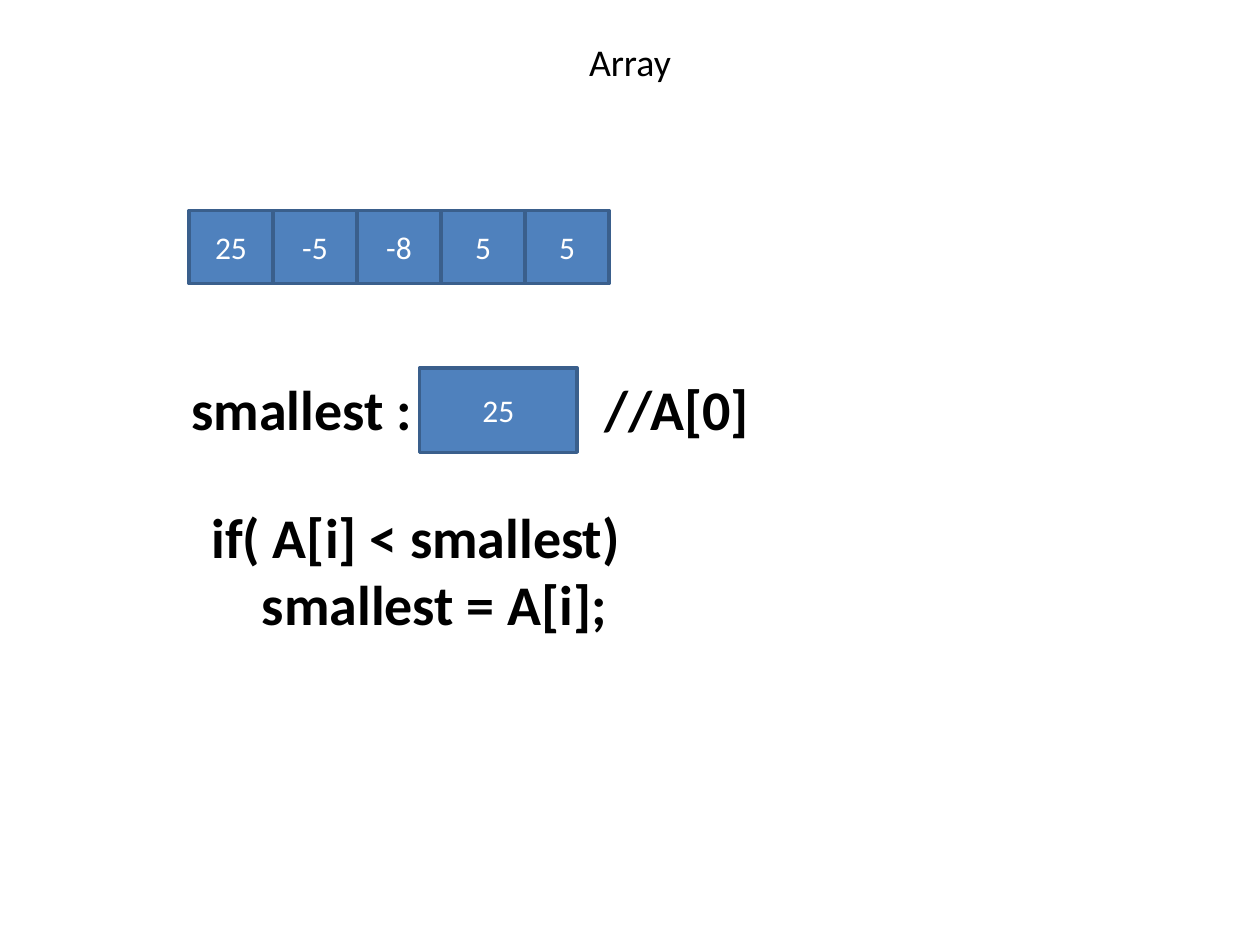
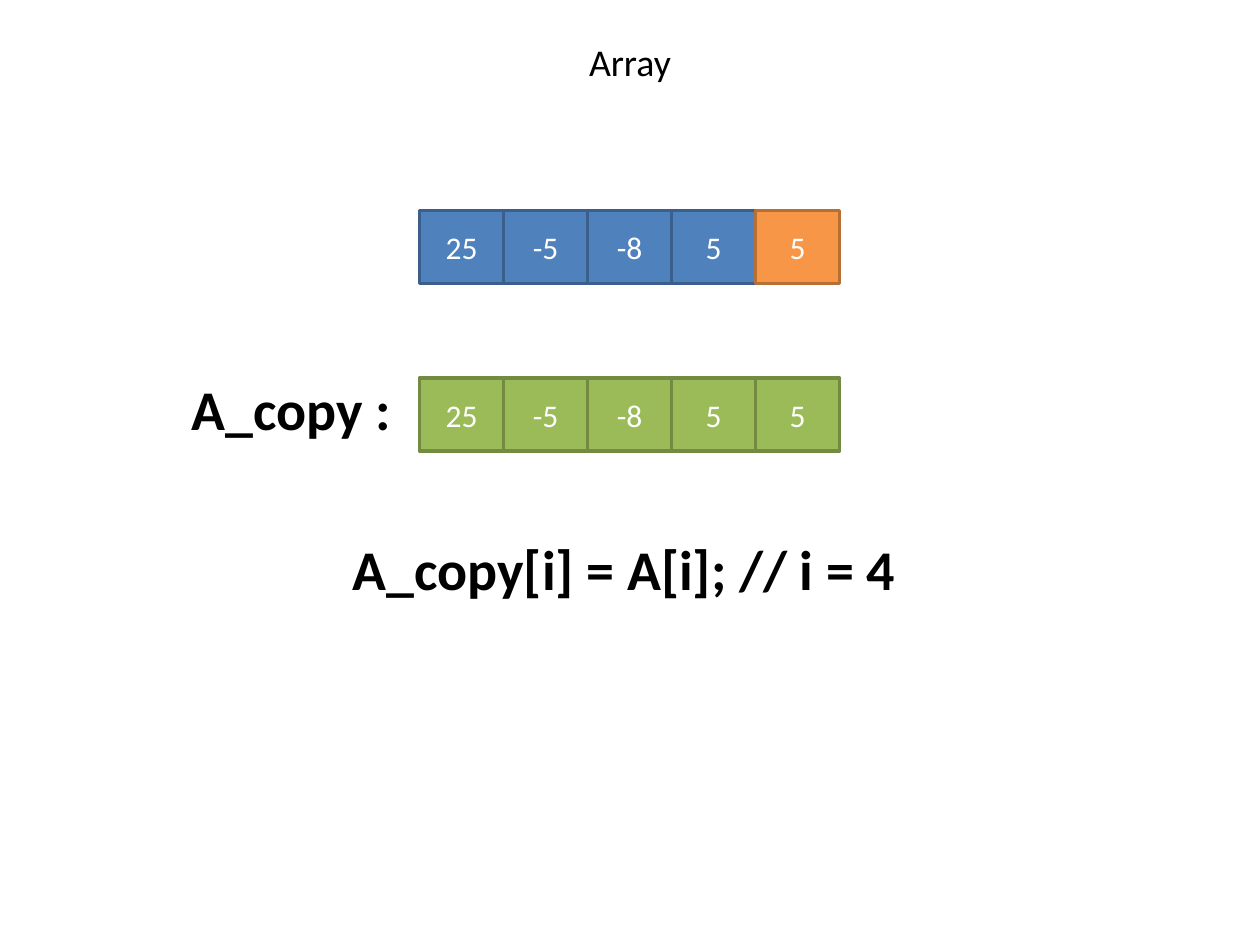
from pptx import Presentation
from pptx.dml.color import RGBColor
from pptx.enum.shapes import MSO_SHAPE
from pptx.enum.text import MSO_ANCHOR, PP_ALIGN
from pptx.util import Inches, Pt

RECT = MSO_SHAPE.RECTANGLE
MIDDLE = MSO_ANCHOR.MIDDLE
CENTER, LEFT = PP_ALIGN.CENTER, PP_ALIGN.LEFT

COLORS = {
    "black": "000000", "white": "FFFFFF",
    "blue": "4F81BD", "blue edge": "3A5F8C",
    "orange": "F79646", "orange edge": "B76F34",
    "green": "9BBB59", "green edge": "738A42",
}
TITLE = {"name": "Calibri", "size": Pt(21.6), "bold": False}
VALUE = {"name": "Calibri", "size": Pt(18), "bold": False}
CODE = {"name": "Calibri", "size": Pt(32), "bold": True}

ARRAY = ["25", "-5", "-8", "5", "5"]
CELL_W, CELL_H = 2 / 3, 0.58
ARRAY_TOP = 1.67
LABEL_X, LABEL_Y = 1.42, 2.92
COPY_X = 3.33


def color(name):
    return RGBColor.from_string(COLORS[name])


def write(para, text, style, ink, align):
    """Fill one paragraph with one styled run."""
    para.alignment = align
    run = para.add_run()
    run.text = text
    for key, value in style.items():
        setattr(run.font, key, value)
    run.font.color.rgb = color(ink)


def add_slide(deck, title):
    """Add a slide with the shared title style."""
    slide = deck.slides.add_slide(deck.slide_layouts[5])
    head = slide.shapes.title
    head.left, head.top = Inches(0.5), Inches(0.3)
    head.width, head.height = Inches(9), Inches(0.37)
    head.text_frame.vertical_anchor = MIDDLE
    write(head.text_frame.paragraphs[0], title, TITLE, "black", CENTER)
    return slide


def add_cell(shapes, text, x, y, w=CELL_W, h=CELL_H, fill="blue"):
    """Draw a box holding one value."""
    box = shapes.add_shape(RECT, Inches(x), Inches(y), Inches(w), Inches(h))
    box.shadow.inherit = False
    box.fill.solid()
    box.fill.fore_color.rgb = color(fill)
    box.line.color.rgb = color(fill + " edge")
    box.line.width = Pt(2)
    box.text_frame.vertical_anchor = MIDDLE
    write(box.text_frame.paragraphs[0], text, VALUE, "white", CENTER)


def add_array(shapes, x, y, fills):
    """Draw the array as a row of touching cells."""
    for i, (text, fill) in enumerate(zip(ARRAY, fills)):
        add_cell(shapes, text, x + i * CELL_W, y, fill=fill)


def add_code(shapes, lines, x, y, w, h=0.64):
    """Write code lines, each given as (text, indent in inches)."""
    frame = shapes.add_textbox(Inches(x), Inches(y), Inches(w), Inches(h)).text_frame
    frame.word_wrap = True
    for i, (text, indent) in enumerate(lines):
        para = frame.add_paragraph() if i else frame.paragraphs[0]
        write(para, text, CODE, "black", LEFT)
        para._p.get_or_add_pPr().set("marL", str(Inches(indent)))


def add_search(deck):
    """Slide: finding the smallest value."""
    shapes = add_slide(deck, "Array").shapes
    row = shapes.add_group_shape()
    add_array(row.shapes, 1.5, ARRAY_TOP, ["blue"] * 5)
    add_code(shapes, [("if( A[i] < smallest)", 0), ("smallest = A[i];", 0.4)],
             1.58, 3.94, 3.8, 1.18)

    # Current smallest value with its label and remark
    state = shapes.add_group_shape().shapes
    add_cell(state, "25", COPY_X, LABEL_Y, 1.25, 0.67)
    add_code(state, [("smallest :", 0)], LABEL_X, LABEL_Y, 2.2)
    add_code(state, [("//A[0]", 0)], 4.7, LABEL_Y, 1.6)


def add_copy(deck):
    """Slide: copying the array cell by cell."""
    shapes = add_slide(deck, "Array").shapes
    add_array(shapes, COPY_X, ARRAY_TOP, ["blue"] * 4 + ["orange"])
    add_code(shapes, [("A_copy :", 0)], LABEL_X, LABEL_Y, 1.9)
    add_code(shapes, [("A_copy[i] = A[i]; // i = 4", 0)], 2.7, 4.19, 5)
    add_array(shapes, COPY_X, 3, ["green"] * 5)


def main():
    deck = Presentation()
    deck.slide_width, deck.slide_height = Inches(10), Inches(7.5)
    add_search(deck)
    add_copy(deck)
    deck.save("out.pptx")


if __name__ == "__main__":
    main()
